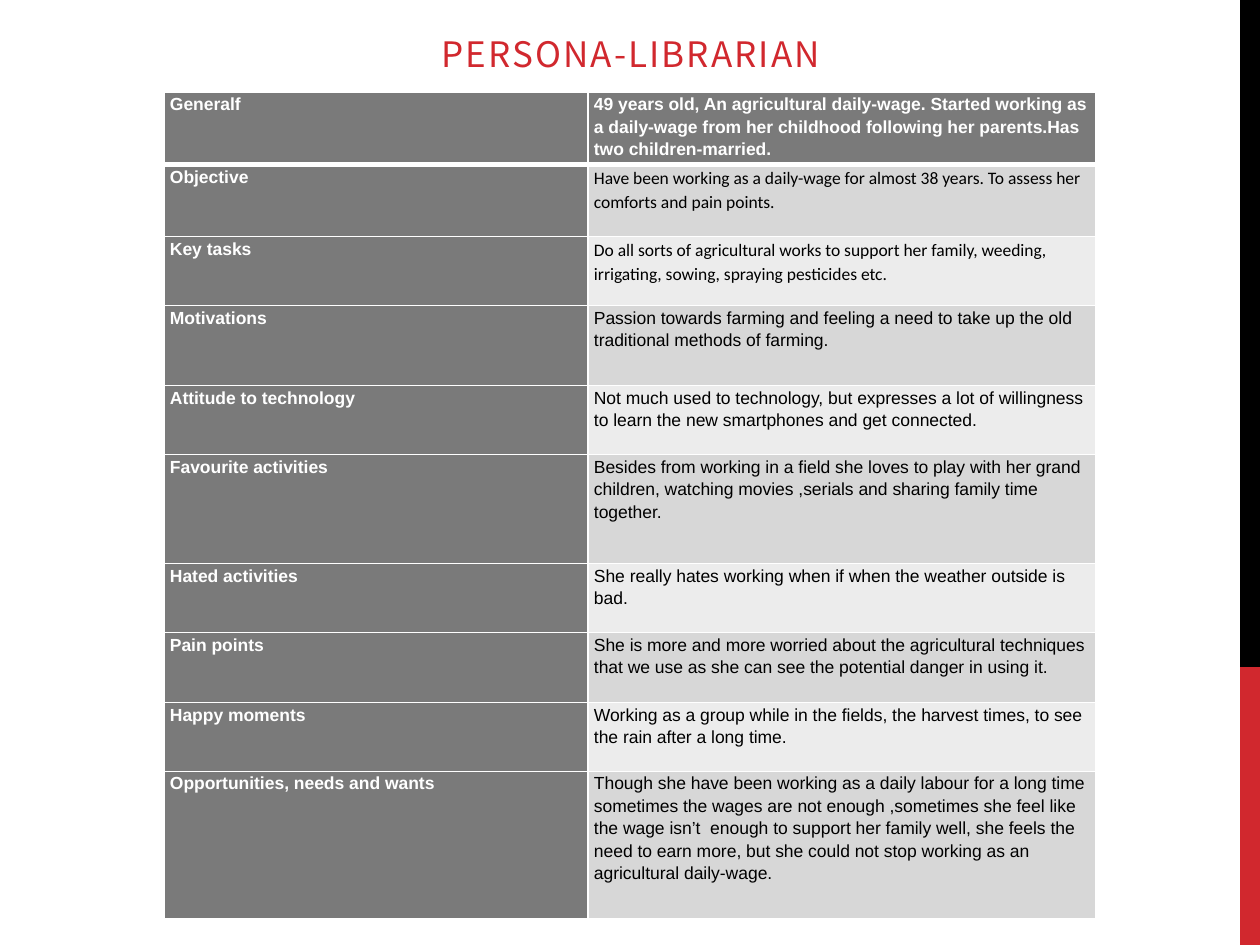
import dataclasses

import pptx
import pptx.dml.color
import pptx.enum.shapes
import pptx.enum.text
import pptx.oxml
import pptx.oxml.ns
import pptx.util

SCALE = 914400 / 126


@dataclasses.dataclass(frozen=True)
class Theme:
    red: str = "D1282E"
    black: str = "000000"
    white: str = "FFFFFF"
    header: str = "7A7A7A"
    bands: tuple = ("D7D7D7", "ECECEC")
    title_font: str = "Noto Sans CJK JP"
    table_font: str = "Arial"
    accent_font: str = "Calibri"
    title_size: int = 20
    table_size: int = 10


theme = Theme()


def px(length):
    """Turn a length in pixels into EMU."""
    return pptx.util.Emu(round(length * SCALE))


def style(span, font, size, color, bold=False):
    """Set the font, size, colour and weight of a run."""
    span.font.name = font
    span.font.size = pptx.util.Pt(size)
    span.font.color.rgb = pptx.dml.color.RGBColor.from_string(color)
    span.font.bold = bold


deck = pptx.Presentation()
deck.slide_width, deck.slide_height = px(1260), px(945)
page = deck.slides.add_slide(deck.slide_layouts[6])

# Side bar
for top, height, color in ((667, 278, theme.red), (0, 667, theme.black)):
    bar = page.shapes.add_shape(
        pptx.enum.shapes.MSO_SHAPE.RECTANGLE, px(1240), px(top), px(20), px(height))
    bar.shadow.inherit = False
    bar.fill.solid()
    bar.fill.fore_color.rgb = pptx.dml.color.RGBColor.from_string(color)
    bar.line.fill.background()

# Title
title = page.shapes.add_textbox(px(425), px(26), px(412), px(55))
title.text_frame.word_wrap = False
title.text_frame.vertical_anchor = pptx.enum.text.MSO_ANCHOR.MIDDLE
title.text_frame.text = "PERSONA-LIBRARIAN"
para = title.text_frame.paragraphs[0]
para.alignment = pptx.enum.text.PP_ALIGN.CENTER
para.space_after = pptx.util.Pt(6)
span = para.runs[0]
style(span, theme.title_font, theme.title_size, theme.red)
properties = span.font._element
properties.set("spc", "120")
for tag in ("a:ea", "a:cs"):
    face = pptx.oxml.parse_xml(
        f'<{tag} {pptx.oxml.ns.nsdecls("a")} typeface="{theme.title_font}"/>')
    properties.append(face)

# Persona table: row height, label, description
persona = [
    (72, "Generalf",
     "49 years old, An agricultural daily-wage. Started working as a daily-wage "
     "from her childhood following her parents.Has two children-married."),
    (72, "Objective",
     "Have been working as a daily-wage for almost 38 years. "
     "To assess her comforts and pain points."),
    (69, "Key tasks",
     "Do all sorts of agricultural works to support her family, weeding, "
     "irrigating, sowing, spraying pesticides etc."),
    (80, "Motivations",
     "Passion towards farming and feeling a need to take up the old "
     "traditional methods of farming."),
    (69, "Attitude to technology",
     "Not much used to technology, but expresses a lot of willingness "
     "to learn the new smartphones and get connected."),
    (109, "Favourite activities",
     "Besides from working in a field she loves to play with her grand children, "
     "watching movies ,serials and sharing family time together."),
    (69, "Hated activities",
     "She really hates working when if when the weather outside is bad."),
    (70, "Pain points",
     "She is more and more worried about the agricultural techniques "
     "that we use as she can see the potential danger in using it."),
    (69, "Happy moments",
     "Working as a group while in the fields, the harvest times, "
     "to see the rain after a long time."),
    (147, "Opportunities, needs and wants",
     "Though she have been working as a daily labour for a long time sometimes "
     "the wages are not enough ,sometimes she feel like the wage isn’t  enough "
     "to support her family well, she feels the need to earn more, but she could "
     "not stop working as an agricultural daily-wage."),
]
accent_rows = ("Objective", "Key tasks")
column_widths = (424, 508)
table_height = sum(height for height, *_ in persona)
table = page.shapes.add_table(
    len(persona), 2, px(164), px(92), px(sum(column_widths)), px(table_height)).table
for column, width in zip(table.columns, column_widths):
    column.width = px(width)

for row, (height, label, description) in enumerate(persona):
    table.rows[row].height = px(height)
    for column, text in enumerate((label, description)):
        cell = table.cell(row, column)
        is_header = row == 0 or column == 0
        cell.margin_left = cell.margin_right = px(6)
        cell.margin_top = cell.margin_bottom = 0
        cell.fill.solid()
        fill = theme.header if is_header else theme.bands[(row - 1) % 2]
        cell.fill.fore_color.rgb = pptx.dml.color.RGBColor.from_string(fill)

        cell.text_frame.text = text
        para = cell.text_frame.paragraphs[0]
        para.line_spacing = 1.15
        is_accent = column == 1 and label in accent_rows
        style(para.runs[0],
              theme.accent_font if is_accent else theme.table_font,
              theme.table_size,
              theme.white if is_header else theme.black,
              is_header)

        borders = {"lnL": 1, "lnR": 1,
                   "lnT": 3 if row == 1 else 1, "lnB": 3 if row == 0 else 1}
        for position, (side, points) in enumerate(borders.items()):
            border = pptx.oxml.parse_xml(
                f'<a:{side} {pptx.oxml.ns.nsdecls("a")} w="{pptx.util.Pt(points)}">'
                f'<a:solidFill><a:srgbClr val="{theme.white}"/></a:solidFill></a:{side}>')
            cell._tc.get_or_add_tcPr().insert(position, border)

deck.save("out.pptx")
